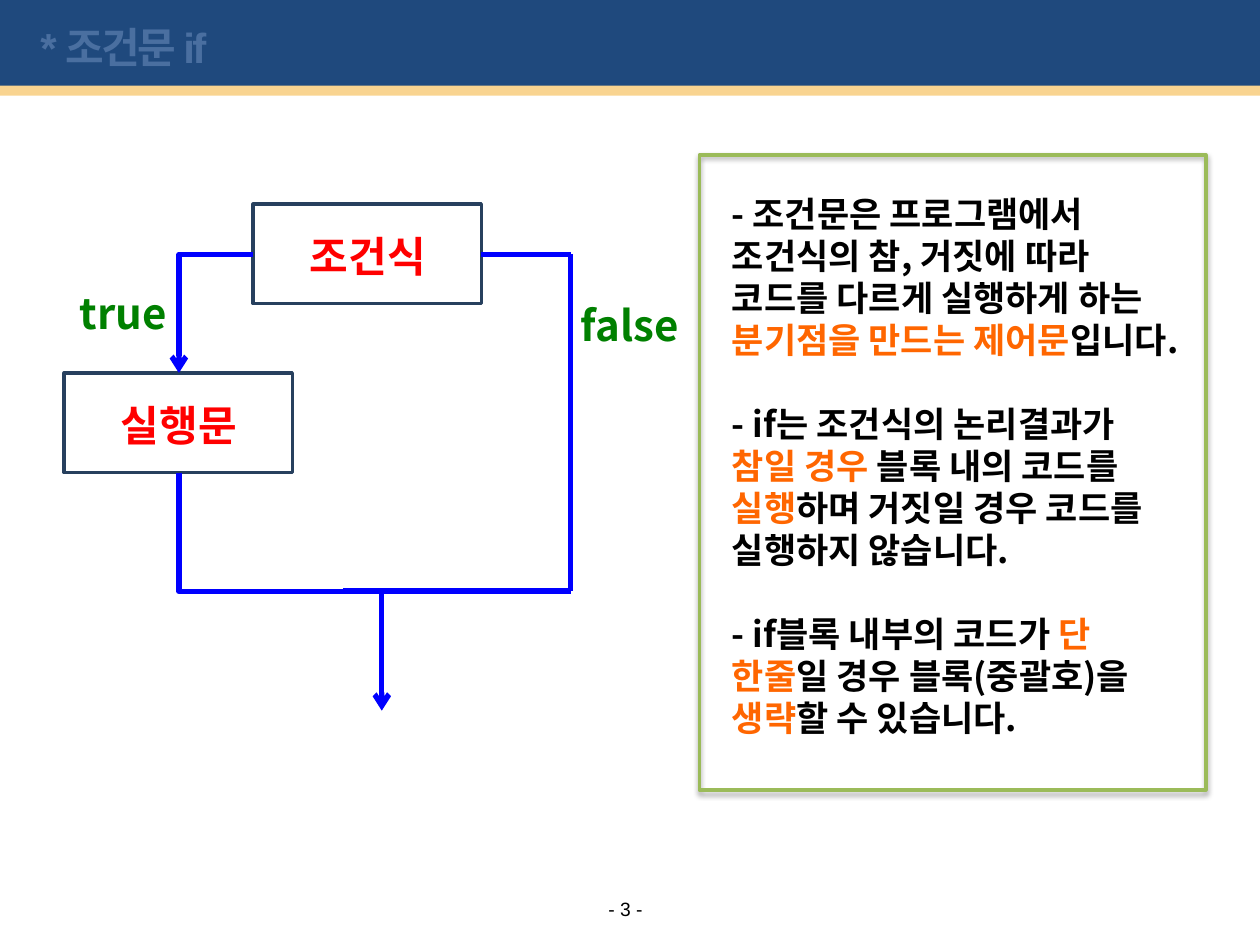
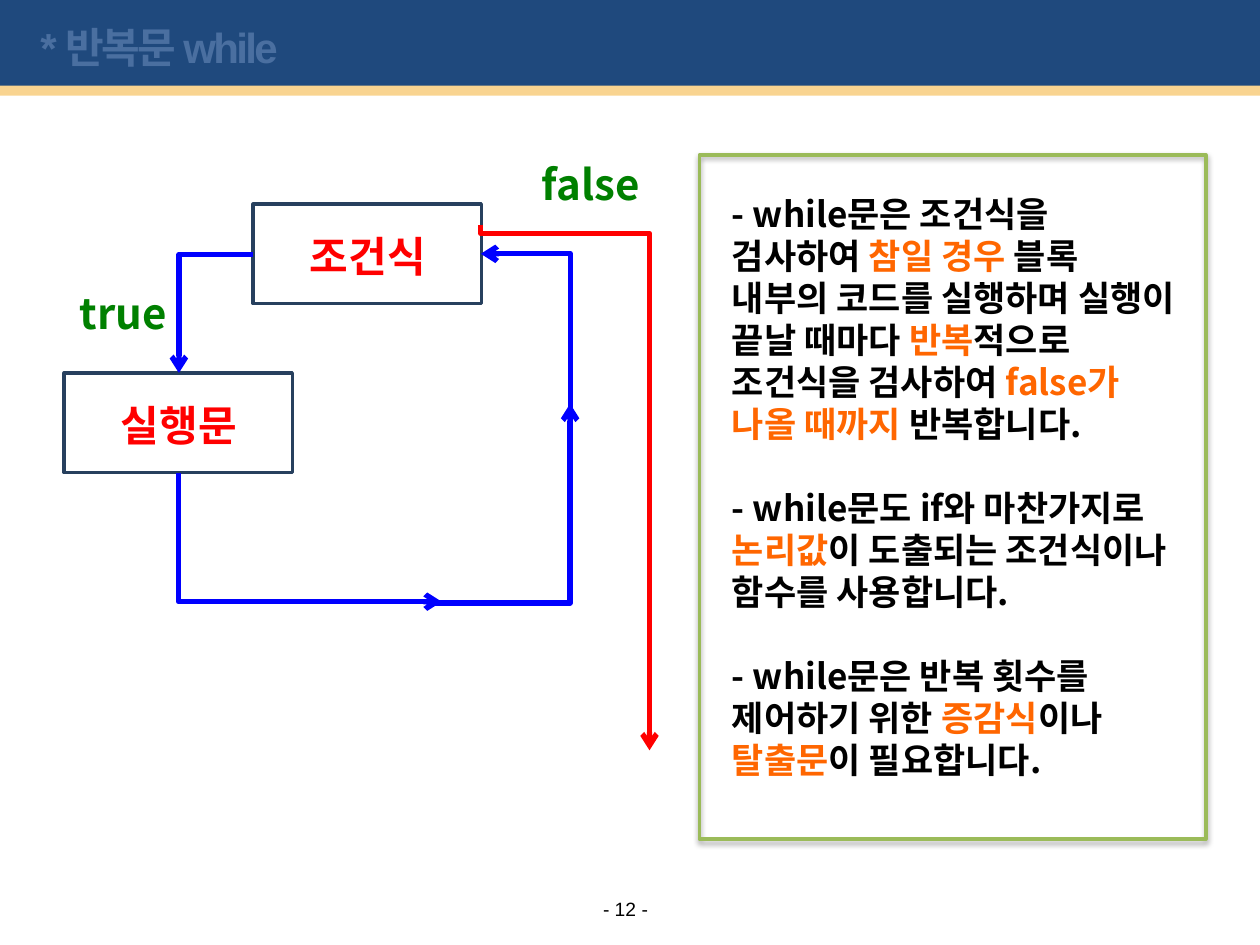
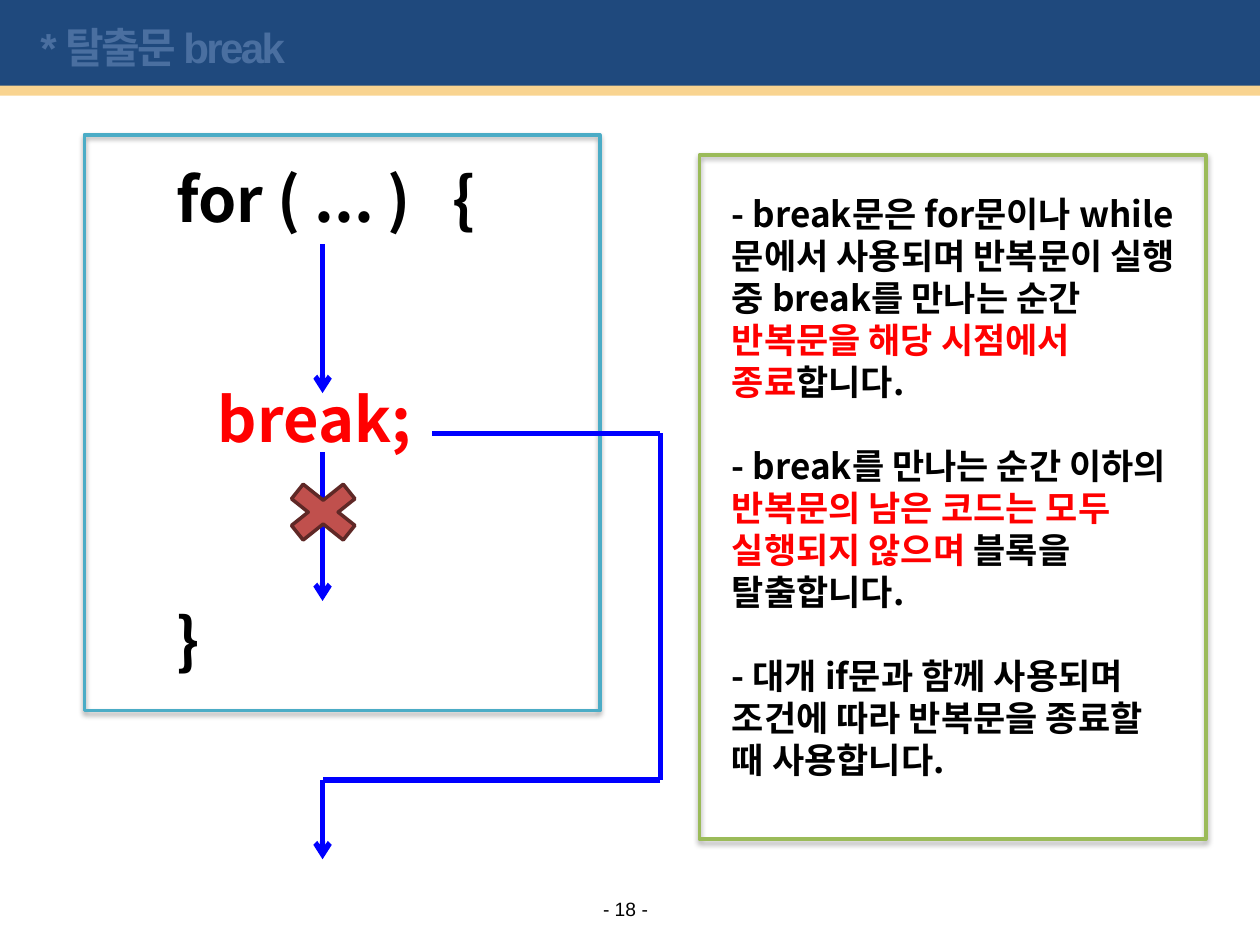
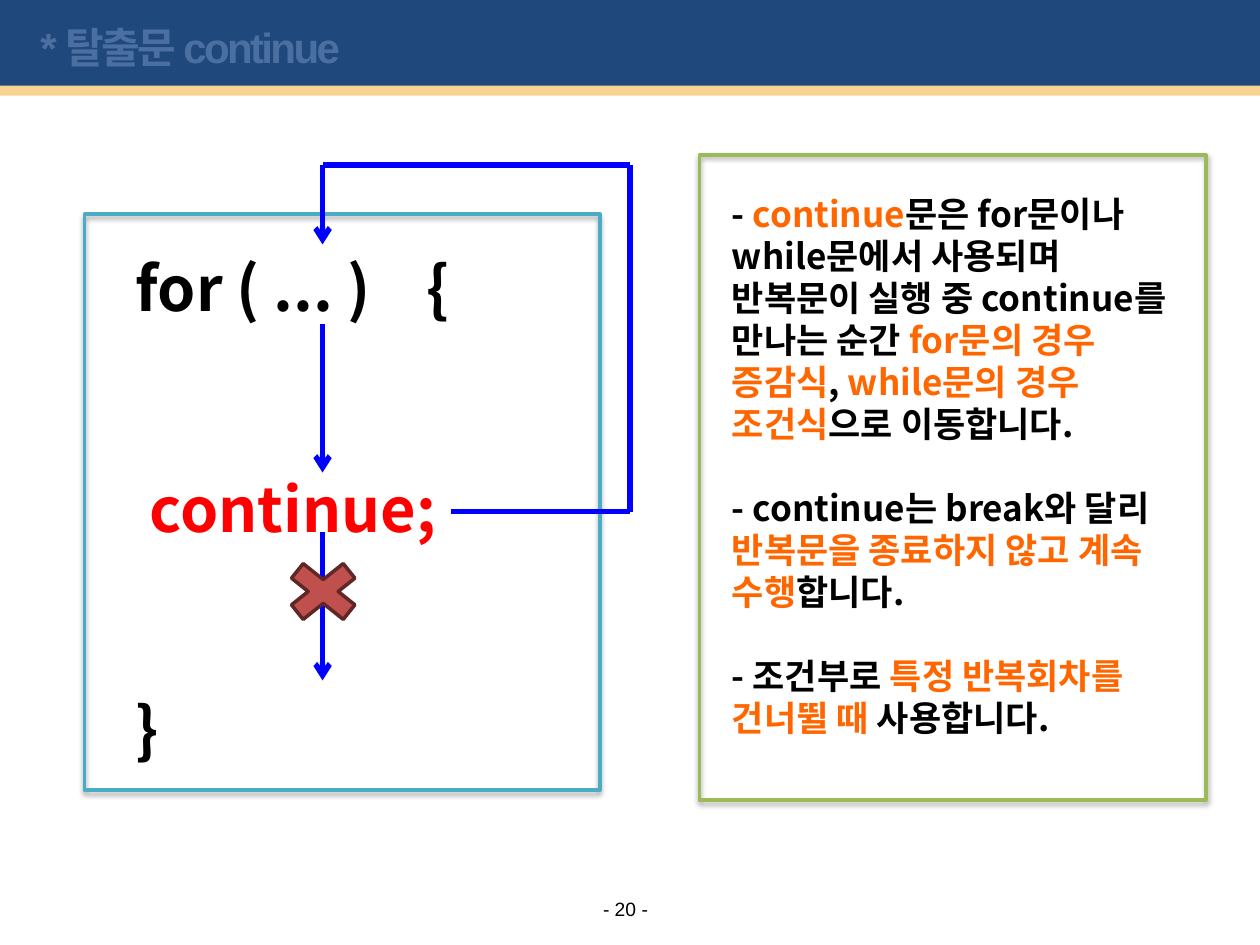
from dataclasses import dataclass
from itertools import pairwise

from lxml import etree
from pptx import Presentation
from pptx import util as u
from pptx.dml.color import RGBColor
from pptx.enum import shapes, text
from pptx.oxml import ns


@dataclass(frozen=True)
class Theme:
    """Colours, fonts and sizes shared by the slides."""

    navy: str = "1F497D"
    sand: str = "F9D490"
    title: str = "4A6FA0"
    black: str = "000000"
    red: str = "FF0000"
    orange: str = "FF6600"
    green: str = "008000"
    blue: str = "0000FF"
    note_line: str = "9BBB59"
    code_line: str = "4BACC6"
    step_line: str = "27405E"
    cross_fill: str = "C0504D"
    cross_line: str = "5F2826"
    font: str = "Noto Sans CJK KR"
    page_font: str = "Arial"
    page_size: int = 11
    note_size: int = 20
    label_size: int = 24
    code_size: int = 35
    leading: float = 1.2
    outline: int = 2
    arrow: int = 3


THEME = Theme()
SHAPE = shapes.MSO_SHAPE


def add_child(parent, tag, **attributes):
    """Append a DrawingML element to a parent element."""
    return etree.SubElement(parent, ns.qn(f"a:{tag}"), attributes)


def inches(*lengths):
    """Convert several lengths to inches."""
    return [u.Inches(length) for length in lengths]


def format_run(run, size, color, font=THEME.font, bold=True):
    """Set the size, colour and typefaces of a run."""
    run.font.size = u.Pt(size)
    run.font.bold = bold
    run.font.color.rgb = RGBColor.from_string(color)
    run.font.name = font
    add_child(run.font._element, "ea", typeface=THEME.font)


def add_text(slide, frame, lines, size, color, accent=None, gap=0, align=None):
    """Add a text box whose parts between bars take the accent colour."""
    text_frame = slide.shapes.add_textbox(*inches(*frame)).text_frame
    text_frame.word_wrap = True
    for index, line in enumerate(lines):
        paragraph = text_frame.add_paragraph() if index else text_frame.paragraphs[0]
        paragraph.alignment = align
        paragraph.line_spacing = u.Pt(size * THEME.leading)
        if index:
            paragraph.space_before = u.Pt(gap * size * THEME.leading)
        for position, part in enumerate(line.split("|")):
            if part:
                run = paragraph.add_run()
                run.text = part
                format_run(run, size, accent if position % 2 else color)
    return text_frame


def add_box(slide, kind, frame, fill=None, line=None, shadow=False):
    """Add a preset shape with optional fill, outline and soft shadow."""
    shape = slide.shapes.add_shape(kind, *inches(*frame))
    shape.shadow.inherit = False
    if fill:
        shape.fill.solid()
        shape.fill.fore_color.rgb = RGBColor.from_string(fill)
    else:
        shape.fill.background()
    if line:
        shape.line.color.rgb = RGBColor.from_string(line)
        shape.line.width = u.Pt(THEME.outline)
    else:
        shape.line.fill.background()
    if shadow:
        effects = shape.element.spPr.find(ns.qn("a:effectLst"))
        outer = add_child(effects, "outerShdw", blurRad=str(u.Pt(3.1)),
                          dist=str(u.Pt(1.8)), dir="5400000", rotWithShape="0")
        add_child(add_child(outer, "srgbClr", val=THEME.black), "alpha", val="35000")
    return shape


def style_connector(connector, color, arrow):
    """Colour a connector, drop its shadow and add an arrowhead."""
    connector.line.color.rgb = RGBColor.from_string(color)
    connector.line.width = u.Pt(THEME.arrow)
    if arrow:
        add_child(connector.line._get_or_add_ln(), "tailEnd", type="arrow")
    add_child(connector.element.spPr, "effectLst")


def add_route(slide, *points, arrow=False):
    """Join points by straight lines, with an arrowhead on the last one."""
    for start, end in pairwise(points):
        connector = slide.shapes.add_connector(
            shapes.MSO_CONNECTOR.STRAIGHT, *inches(*start, *end))
        style_connector(connector, THEME.blue, arrow and end == points[-1])


def add_elbow(slide, frame, rotation=0, flips="h", bend=None, color=THEME.blue):
    """Add an elbow arrow; a bend position gives it a second corner."""
    left, top, width, height = frame
    connector = slide.shapes.add_connector(
        shapes.MSO_CONNECTOR.ELBOW, *inches(left, top, left + width, top + height))
    properties = connector.element.spPr
    transform = properties.find(ns.qn("a:xfrm"))
    transform.set("rot", str(rotation * 60000))
    for flip in flips:
        transform.set(f"flip{flip.upper()}", "1")
    geometry = properties.find(ns.qn("a:prstGeom"))
    if bend is None:
        geometry.set("prst", "bentConnector2")
    else:
        guides = geometry.find(ns.qn("a:avLst"))
        add_child(guides, "gd", name="adj1", fmla=f"val {round(bend * 100000)}")
    style_connector(connector, color, True)


def add_bands(slide):
    """Place the header bands on the layout of a slide."""
    bands = [((0, 0, 10, 0.73), THEME.navy), ((0, 0.68, 10, 0.08), THEME.sand)]
    for index, (frame, color) in enumerate(bands):
        band = add_box(slide, SHAPE.RECTANGLE, frame, fill=color)
        slide.slide_layout.shapes.element.insert(2 + index, band.element)


def add_page(presentation, title, number):
    """Add a slide with its title and page number."""
    slide = presentation.slides.add_slide(presentation.slide_layouts[5])
    heading = slide.shapes.title
    heading.left, heading.top, heading.width, heading.height = inches(0.22, 0.07, 9, 0.6)
    heading.text_frame.text = title
    heading.text_frame.vertical_anchor = text.MSO_ANCHOR.MIDDLE
    paragraph = heading.text_frame.paragraphs[0]
    paragraph.alignment = text.PP_ALIGN.LEFT
    run = paragraph.runs[0]
    format_run(run, THEME.label_size, THEME.title, THEME.page_font)
    run.font._element.set("spc", "-150")

    text_frame = slide.shapes.add_textbox(*inches(4.75, 7.12, 0.43, 0.19)).text_frame
    text_frame.margin_left = text_frame.margin_right = 0
    text_frame.margin_top = text_frame.margin_bottom = 0
    text_frame.vertical_anchor = text.MSO_ANCHOR.MIDDLE
    text_frame.word_wrap = False
    text_frame.text = f"- {number} -"
    text_frame.paragraphs[0].alignment = text.PP_ALIGN.CENTER
    format_run(text_frame.paragraphs[0].runs[0], THEME.page_size, THEME.black,
               THEME.page_font, False)
    return slide


def add_notes_panel(slide, height, text_height, lines, accent=THEME.orange):
    """Add the framed explanation on the right."""
    text_frame = add_text(slide, (5.71, 1.48, 3.78, text_height), lines,
                          THEME.note_size, THEME.black, accent, gap=1)
    text_frame.margin_right = u.Inches(0.15)
    add_box(slide, SHAPE.FLOWCHART_PROCESS, (5.55, 1.23, 4.02, height),
            line=THEME.note_line, shadow=True)


def add_label(slide, left, top, width, label, color):
    """Add a centred flowchart label."""
    add_text(slide, (left, top, width, 0.5), [label], THEME.label_size, color,
             align=text.PP_ALIGN.CENTER)


def add_condition(slide, false_left, false_top):
    """Add the condition, the statement and the labels of both branches."""
    for left, top, label in [(2.01, 1.62, "조건식"), (0.51, 2.96, "실행문")]:
        add_box(slide, SHAPE.FLOWCHART_PROCESS, (left, top, 1.81, 0.79),
                line=THEME.step_line)
        add_label(slide, left + 0.16, top + 0.16, 1.5, label, THEME.red)
    add_elbow(slide, (1.42, 2.02, 0.59, 0.94))
    add_label(slide, 0.35, 2.23, 1.26, "true", THEME.green)
    add_label(slide, false_left, false_top, 1.26, "false", THEME.green)


def add_loop(slide, top, code_left, code_top, code):
    """Add a framed loop whose remaining statements are crossed out."""
    add_text(slide, (code_left, code_top, 4.25, 4.18), code, THEME.code_size,
             THEME.black, THEME.red, gap=2)
    for start in (top + 0.87, top + 2.52):
        add_route(slide, (2.56, start), (2.56, start + 1.18), arrow=True)
    add_box(slide, SHAPE.RECTANGLE, (0.67, top, 4.09, 4.57),
            line=THEME.code_line, shadow=True)
    cross = add_box(slide, SHAPE.MATH_MULTIPLY, (2.17, top + 2.68, 0.79, 0.63),
                    THEME.cross_fill, THEME.cross_line)
    cross.adjustments[0] = 0.235


def build_if(presentation):
    """Build the slide on the if statement."""
    slide = add_page(presentation, "* 조건문 if", 3)
    add_bands(slide)
    add_notes_panel(slide, 5.04, 4.47, [
        "- 조건문은 프로그램에서 조건식의 참, 거짓에 따라 코드를 다르게 실행하게 하는 "
        "|분기점을 만드는 제어문|입니다.",
        "- if는 조건식의 논리결과가 |참일 경우| 블록 내의 코드를 |실행|하며 "
        "거짓일 경우 코드를 실행하지 않습니다.",
        "- if블록 내부의 코드가 |단 한줄|일 경우 블록(중괄호)을 |생략|할 수 있습니다.",
    ])
    add_condition(slide, 4.37, 2.33)
    add_elbow(slide, (1.28, 3.89, 1.89, 1.61), 270, bend=0.5)
    add_route(slide, (3.82, 2.02), (4.53, 2.02), (4.53, 4.62), (4.53, 4.69), (2.72, 4.69))


def build_while(presentation):
    """Build the slide on the while statement."""
    slide = add_page(presentation, "* 반복문 while", 12)
    add_notes_panel(slide, 5.43, 5.1, [
        "- while문은 조건식을 검사하여 |참일 경우| 블록 내부의 코드를 실행하며 "
        "실행이 끝날 때마다 |반복|적으로 조건식을 검사하여 "
        "|false가 나올 때까지| 반복합니다.",
        "- while문도 if와 마찬가지로 |논리값|이 도출되는 조건식이나 함수를 사용합니다.",
        "- while문은 반복 횟수를 제어하기 위한 |증감식|이나 |탈출문|이 필요합니다.",
    ])
    add_condition(slide, 4.06, 1.21)
    add_elbow(slide, (1.95, 3.22, 1.02, 2.09), 270)
    add_elbow(slide, (3.19, 3.44, 1.57, 1.1), 90, "hv", bend=-0.007)
    add_elbow(slide, (3.5, 2.33, 1.34, 0.71), 270, "v")
    add_elbow(slide, (2.4, 3.2, 4.17, 1.34), 270, bend=0.016, color=THEME.red)


def build_break(presentation):
    """Build the slide on the break statement."""
    slide = add_page(presentation, "* 탈출문 break", 18)
    add_notes_panel(slide, 5.43, 4.81, [
        "- break문은 for문이나 while문에서 사용되며 반복문이 실행 중 break를 "
        "만나는 순간 |반복문을 해당 시점에서 종료|합니다.",
        "- break를 만나는 순간 이하의 |반복문의 남은 코드는 모두 실행되지 않으며| "
        "블록을 탈출합니다.",
        "- 대개 if문과 함께 사용되며 조건에 따라 반복문을 종료할 때 사용합니다.",
    ], THEME.red)
    add_loop(slide, 1.07, 1.3, 1.23, ["for ( ... )   {", "|   break;|", "}"])
    add_route(slide, (3.43, 3.44), (5.24, 3.44), (5.24, 6.19), (2.56, 6.19),
              (2.56, 6.82), arrow=True)


def build_continue(presentation):
    """Build the slide on the continue statement."""
    slide = add_page(presentation, "* 탈출문 continue", 20)
    add_notes_panel(slide, 5.12, 4.43, [
        "- |continue|문은 for문이나 while문에서 사용되며 반복문이 실행 중 "
        "continue를 만나는 순간 |for문의 경우 증감식|, "
        "|while문의 경우 조건식|으로 이동합니다.",
        "- continue는 break와 달리 |반복문을 종료하지 않고 계속 수행|합니다.",
        "- 조건부로 |특정 반복회차를 건너뛸 때| 사용합니다.",
    ])
    add_loop(slide, 1.7, 0.98, 1.94, ["for ( ... )    {", "| continue;|", "}"])
    add_route(slide, (3.58, 4.06), (5, 4.06), (5, 1.31), (2.56, 1.31),
              (2.56, 1.94), arrow=True)


def main():
    """Build and save the presentation."""
    presentation = Presentation()
    presentation.slide_width, presentation.slide_height = inches(10, 7.5)
    for build in (build_if, build_while, build_break, build_continue):
        build(presentation)
    presentation.save("out.pptx")


if __name__ == "__main__":
    main()
